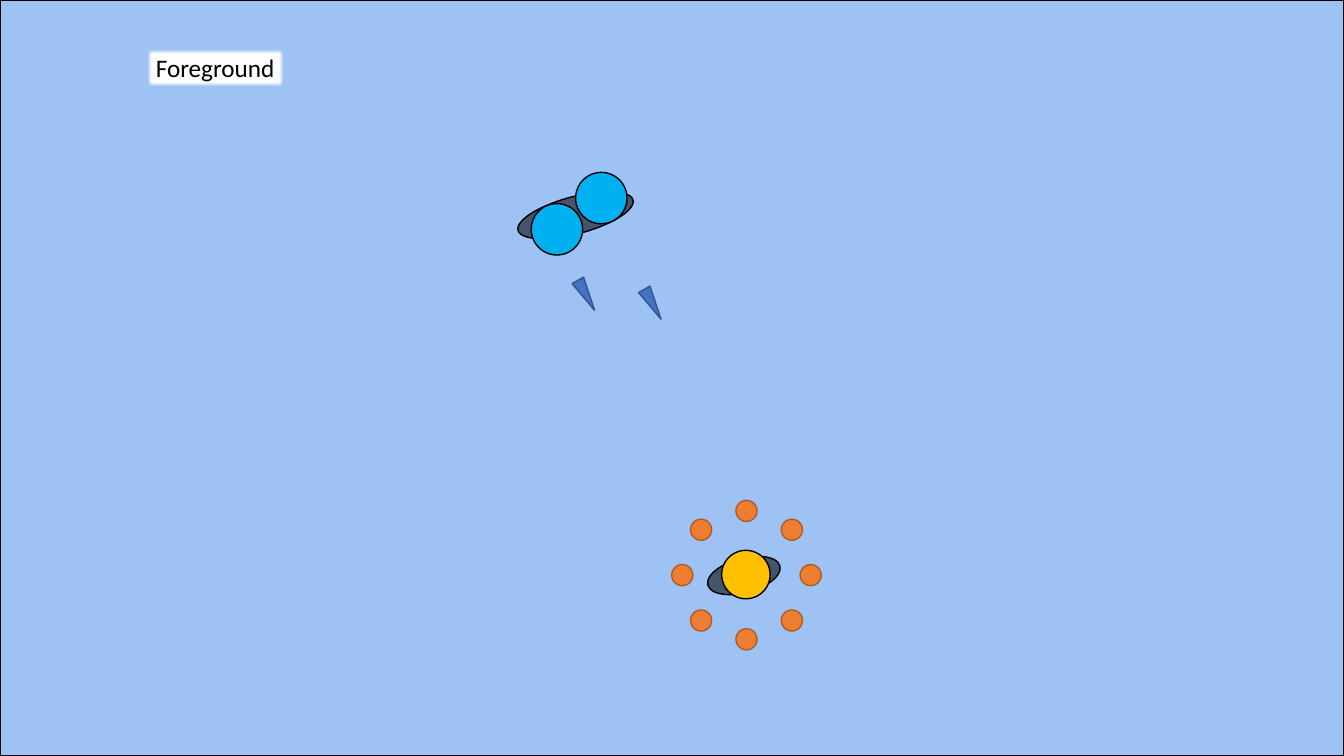
from dataclasses import dataclass
from math import cos, radians, sin

from lxml import etree
from pptx import Presentation
from pptx.dml.color import RGBColor
from pptx.enum.shapes import MSO_SHAPE
from pptx.enum.text import MSO_ANCHOR, MSO_AUTO_SIZE, PP_ALIGN
from pptx.oxml.ns import qn
from pptx.util import Pt

RECTANGLE = MSO_SHAPE.RECTANGLE
OVAL = MSO_SHAPE.OVAL
TRIANGLE = MSO_SHAPE.ISOSCELES_TRIANGLE
CENTER = PP_ALIGN.CENTER
MIDDLE = MSO_ANCHOR.MIDDLE
NO_AUTO_SIZE = MSO_AUTO_SIZE.NONE


@dataclass(frozen=True)
class Theme:
    font: str = "Calibri"
    label_size: float = 18
    line_width: float = 1
    sky: str = "4086EC"
    body: str = "44546A"
    sun: str = "FFC000"
    wing: str = "00B0F0"
    dart: str = "4472C4"
    dart_line: str = "325491"
    dot: str = "ED7D31"
    dot_line: str = "AF5C24"
    black: str = "000000"
    white: str = "FFFFFF"


@dataclass(frozen=True)
class Box:
    left: float
    top: float
    width: float
    height: float


THEME = Theme()
TILT = 345.2
DART_ANGLE = 150.7


def color(value):
    return RGBColor.from_string(value)


def add_shape(shapes, kind, center, size, fill, line=THEME.black, rotation=0):
    (x, y), (width, height) = center, size
    shape = shapes.add_shape(kind, Pt(x - width / 2), Pt(y - height / 2),
                             Pt(width), Pt(height))
    shape.shadow.inherit = False
    shape.rotation = rotation
    shape.fill.solid()
    shape.fill.fore_color.rgb = color(fill)
    shape.line.color.rgb = color(line)
    shape.line.width = Pt(THEME.line_width)
    return shape


def add_background(slide, box):
    center = (box.left + box.width / 2, box.top + box.height / 2)
    background = add_shape(slide.shapes, RECTANGLE, center,
                           (box.width, box.height), THEME.sky)
    fill_color = next(background._element.spPr.iter(qn("a:srgbClr")))
    etree.SubElement(fill_color, qn("a:alpha"), val="50000")


def add_sun(slide, box):
    shapes = slide.shapes.add_group_shape().shapes
    x, y = box.left + box.width / 2, box.top + box.height / 2
    add_shape(shapes, OVAL, (x - 1.8, y + 0.3), (53.3, 24.5), THEME.body, rotation=TILT)
    add_shape(shapes, OVAL, (x - 0.4, y - 0.4), (34.6, 34.6), THEME.sun, rotation=TILT)


def add_flyer(slide, box):
    shapes = slide.shapes.add_group_shape().shapes
    add_shape(shapes, OVAL, (box.left + 42.5, box.top + 30.6), (85, 26.6),
              THEME.body, rotation=TILT)
    for x, y in ((29.2, 40.7), (60.9, 18.4)):
        add_shape(shapes, OVAL, (box.left + x, box.top + y), (36.7, 36.7),
                  THEME.wing, rotation=TILT)


def add_darts(slide, box):
    shapes = slide.shapes.add_group_shape().shapes
    width, height = 9.4, 24.5
    right, bottom = box.left + box.width, box.top + box.height
    centers = ((right - width / 2, bottom - height / 2),
               (box.left + width / 2, box.top + height / 2))
    for center in centers:
        add_shape(shapes, TRIANGLE, center, (width, height), THEME.dart,
                  THEME.dart_line, DART_ANGLE)


def add_dot_ring(slide, box):
    shapes = slide.shapes.add_group_shape().shapes
    diameter = 15.1
    radius = (box.width - diameter) / 2
    x, y = box.left + box.width / 2, box.top + box.height / 2
    for angle in range(0, 360, 45):
        center = (x + radius * cos(radians(angle)), y + radius * sin(radians(angle)))
        add_shape(shapes, OVAL, center, (diameter, diameter), THEME.dot,
                  THEME.dot_line, angle % 90)


def add_label(slide, box, text):
    label = slide.shapes.add_textbox(Pt(box.left), Pt(box.top),
                                     Pt(box.width), Pt(box.height))
    label.fill.solid()
    label.fill.fore_color.rgb = color(THEME.white)
    effects = etree.SubElement(label._element.spPr, qn("a:effectLst"))
    etree.SubElement(effects, qn("a:softEdge"), rad=str(Pt(2.5)))
    frame = label.text_frame
    frame.word_wrap = False
    frame.auto_size = NO_AUTO_SIZE
    frame.vertical_anchor = MIDDLE
    paragraph = frame.paragraphs[0]
    paragraph.text = text
    paragraph.alignment = CENTER
    paragraph.font.name = THEME.font
    paragraph.font.size = Pt(THEME.label_size)
    paragraph.font.color.rgb = color(THEME.black)


def main():
    presentation = Presentation()
    presentation.slide_width = Pt(960)
    presentation.slide_height = Pt(540)
    slide = presentation.slides.add_slide(presentation.slide_layouts[6])
    sun_box = Box(479.8, 357.4, 106.8, 106.8)
    add_background(slide, Box(0, 0, 960, 540))
    add_sun(slide, sun_box)
    add_flyer(slide, Box(368.6, 123.1, 85, 59.1))
    add_darts(slide, Box(414, 198.7, 56.9, 30.9))
    add_dot_ring(slide, sun_box)
    add_label(slide, Box(103.7, 34, 100, 29), "Foreground")
    presentation.save("out.pptx")


main()
